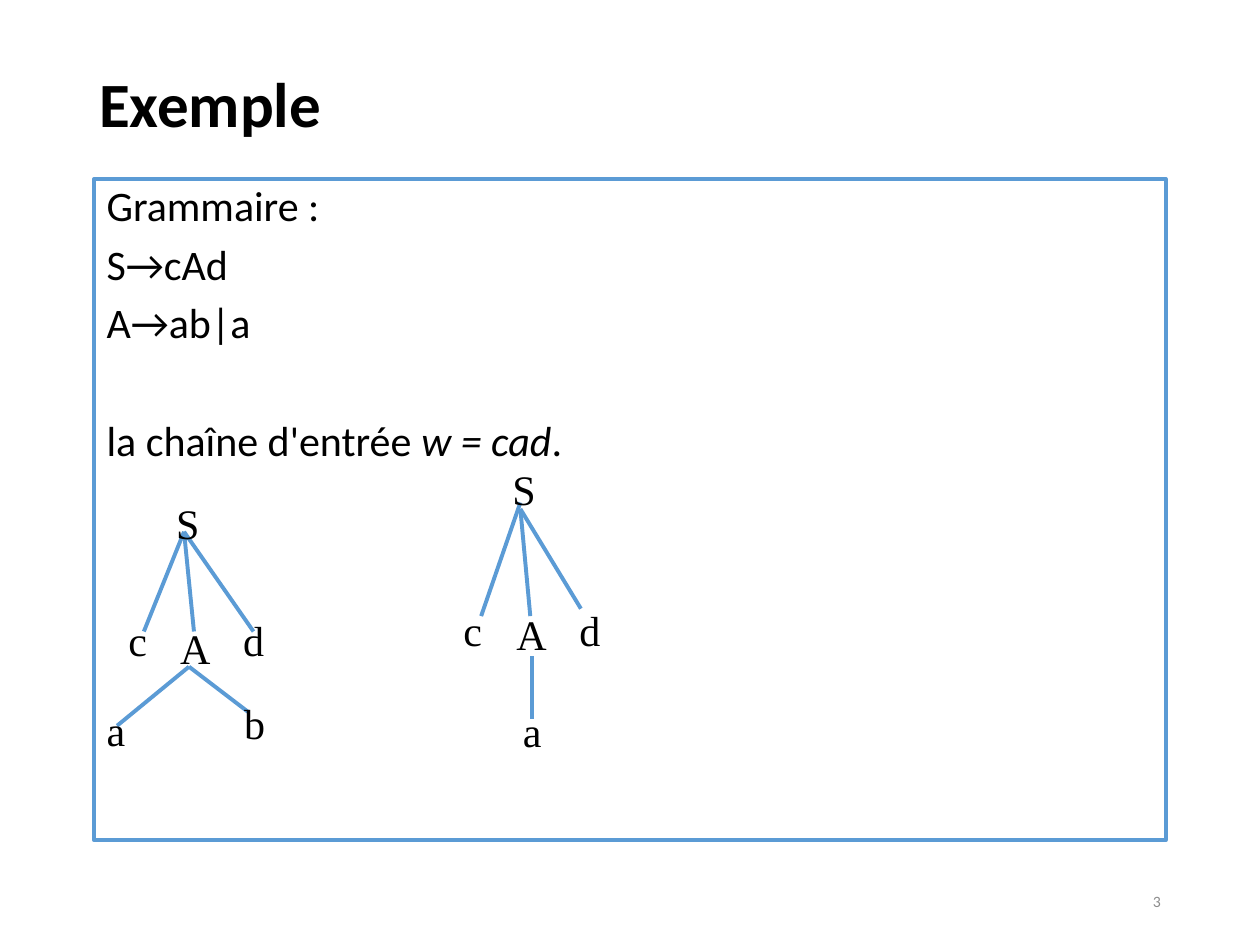
"""Build a slide showing a grammar and two derivation trees for one input string."""
from pptx import Presentation
from pptx import util as u
from pptx.dml.color import RGBColor
from pptx.enum import shapes, text
from pptx.oxml import parse_xml
from pptx.oxml.ns import nsdecls

BLACK = RGBColor(0x00, 0x00, 0x00)
GREY = RGBColor(0x8C, 0x8C, 0x8C)
BLUE = RGBColor(0x5B, 0x9B, 0xD5)
LINE_WIDTH = u.Pt(2.25)

GRAMMAR = [
    ([("Grammaire :", False)], 7.5),
    ([("S→cAd", False)], 7.5),
    ([("A→ab|a", False)], 7.5),
    ([("la chaîne d'entrée ", False), ("w = cad", True), (".", False)], 41.4),
]

SYMBOL_WIDTHS = {"S": 0.99, "A": 1.14, "a": 0.89, "b": 0.94, "c": 0.89, "d": 0.94}
SYMBOL_HEIGHT = 1.27

FIRST_TREE = {
    "branches": [
        ((3.71, 10.72), [(2.9, 12.73), (3.91, 12.73), (5.11, 12.73)]),
        ((3.81, 13.44), [(2.36, 14.63), (5.0, 14.35)]),
    ],
    "symbols": [("S", 3.3, 9.91), ("c", 2.34, 12.27), ("A", 3.38, 12.42),
                ("d", 4.65, 12.27), ("a", 1.9, 14.07), ("b", 4.67, 13.94)],
}
SECOND_TREE = {
    "branches": [
        ((10.49, 10.13), [(9.7, 12.42)]),
        ((10.49, 10.26), [(10.69, 12.42), (11.71, 12.27)]),
        ((10.72, 13.23), [(10.72, 14.5)]),
    ],
    "symbols": [("c", 9.09, 12.07), ("A", 10.16, 12.14), ("d", 11.43, 12.07),
                ("a", 10.29, 14.1), ("S", 10.08, 9.22)],
}


def write(paragraph, words, *, size=24, font="Calibri", color=BLACK, bold=False,
          italic=False, align=text.PP_ALIGN.LEFT, spacing=None, before=None):
    """Append formatted words to a paragraph."""
    paragraph.alignment = align
    if spacing is not None:
        paragraph.line_spacing = spacing
    if before is not None:
        paragraph.space_before = u.Pt(before)
    run = paragraph.add_run()
    run.text = words
    run.font.size = u.Pt(size)
    run.font.name = font
    run.font.color.rgb = color
    run.font.bold = bold
    run.font.italic = italic


def add_label(slide, words, left, top, width, height, *, wrap=True,
              anchor=text.MSO_ANCHOR.MIDDLE, bottom=0.13, **style):
    """Add a text box holding one line of text."""
    label = slide.shapes.add_textbox(u.Cm(left), u.Cm(top), u.Cm(width), u.Cm(height))
    frame = label.text_frame
    frame.word_wrap = wrap
    frame.vertical_anchor = anchor
    frame.margin_bottom = u.Cm(bottom)
    write(frame.paragraphs[0], words, **style)


def add_grammar(slide):
    """Add the outlined panel with the grammar rules."""
    panel = slide.shapes.add_shape(shapes.MSO_SHAPE.RECTANGLE, u.Cm(1.9), u.Cm(3.61),
                                   u.Cm(21.6), u.Cm(13.33))
    panel.shadow.inherit = False
    panel.fill.background()
    panel.line.color.rgb = BLUE
    panel.line.width = LINE_WIDTH
    frame = panel.text_frame
    frame.word_wrap = True
    frame.vertical_anchor = text.MSO_ANCHOR.TOP
    for index, (parts, before) in enumerate(GRAMMAR):
        rule = frame.add_paragraph() if index else frame.paragraphs[0]
        for words, italic in parts:
            write(rule, words, italic=italic, spacing=0.9, before=before)


def add_branch(slide, parent, child):
    """Draw a straight branch from a parent point to a child point."""
    ends = [u.Cm(length) for length in (*parent, *child)]
    branch = slide.shapes.add_connector(shapes.MSO_CONNECTOR.STRAIGHT, *ends)
    branch.line.color.rgb = BLUE
    branch.line.width = LINE_WIDTH
    branch.element.spPr.append(parse_xml(f"<a:effectLst {nsdecls('a')}/>"))


def add_tree(slide, tree):
    """Draw the branches of a tree, then its symbols."""
    for parent, children in tree["branches"]:
        for child in children:
            add_branch(slide, parent, child)
    for symbol, left, top in tree["symbols"]:
        add_label(slide, symbol, left, top, SYMBOL_WIDTHS[symbol], SYMBOL_HEIGHT,
                  wrap=False, anchor=text.MSO_ANCHOR.TOP, font="Times New Roman")


def main():
    """Build and save the slide."""
    deck = Presentation()
    deck.slide_width, deck.slide_height = u.Cm(25.4), u.Cm(19.05)
    slide = deck.slides.add_slide(deck.slide_layouts[6])
    add_label(slide, "Exemple", 1.75, 1.02, 21.9, 3.68, bottom=1.52,
              size=36, bold=True, spacing=0.9)
    add_grammar(slide)
    add_label(slide, "3", 17.93, 17.65, 5.72, 1.02, size=9, color=GREY,
              align=text.PP_ALIGN.RIGHT)
    for tree in (FIRST_TREE, SECOND_TREE):
        add_tree(slide, tree)
    deck.save("out.pptx")


if __name__ == "__main__":
    main()
